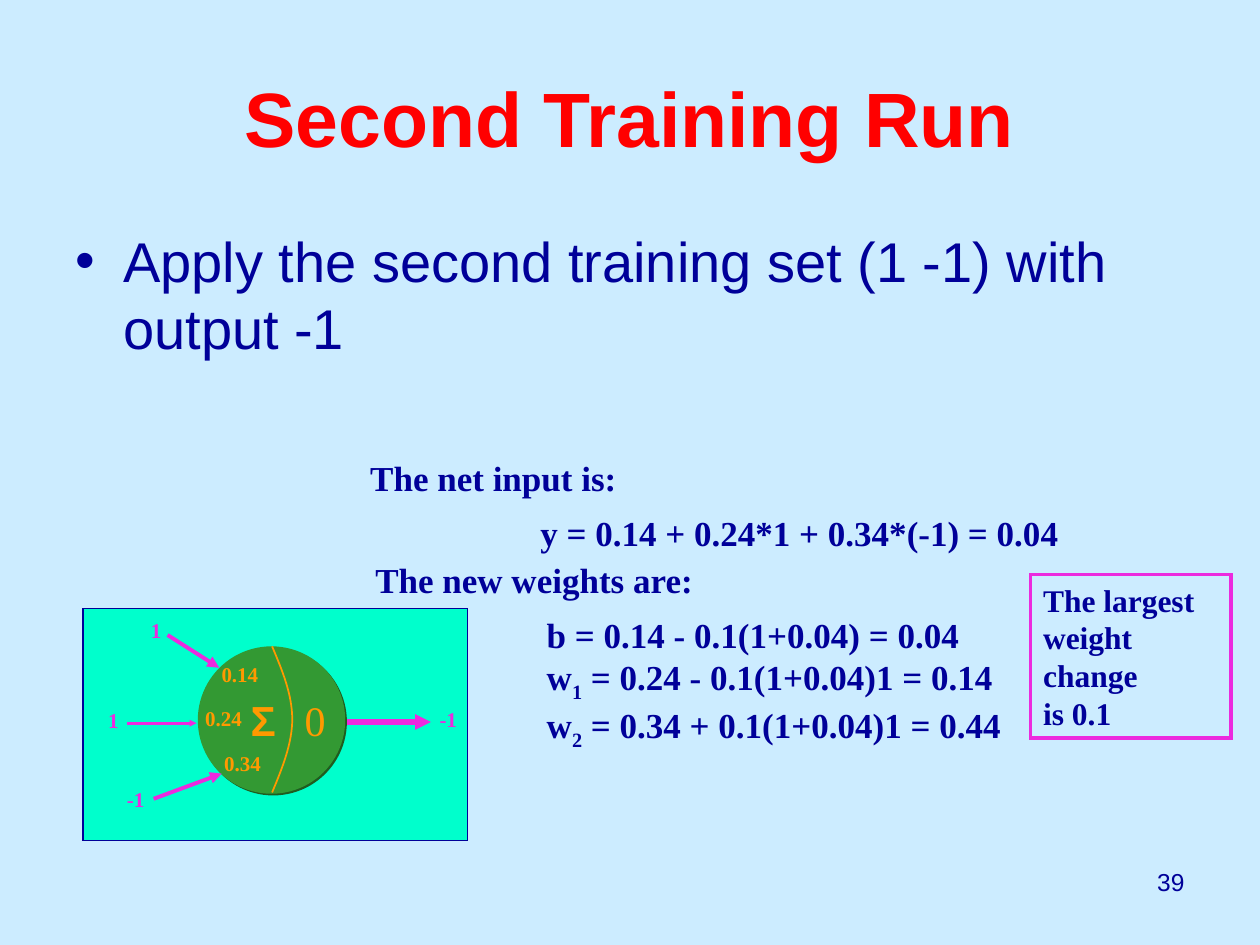
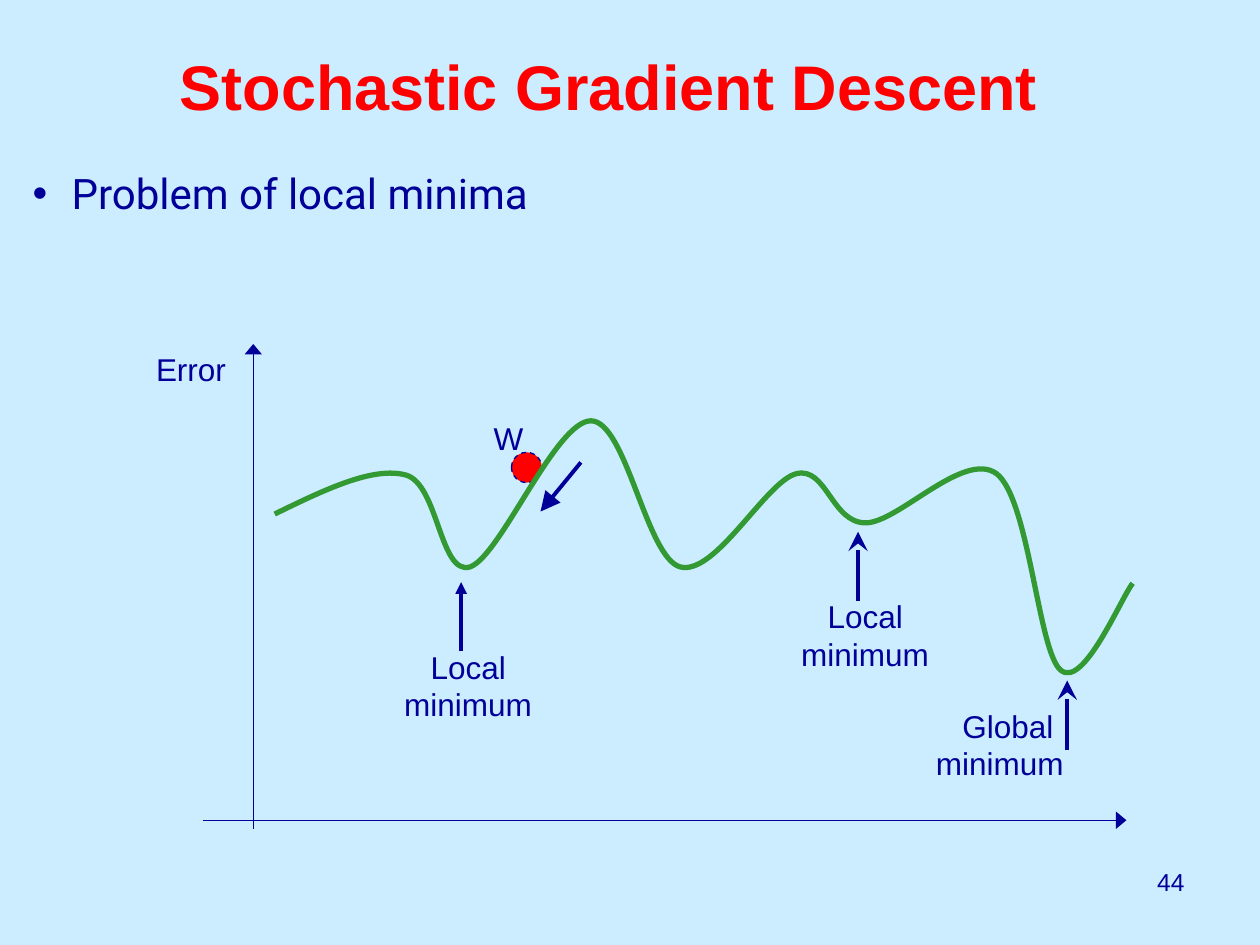
from lxml.etree import SubElement
from pptx import Presentation
from pptx.dml.color import RGBColor
from pptx.enum.dml import MSO_LINE
from pptx.enum.shapes import MSO_CONNECTOR, MSO_SHAPE
from pptx.enum.text import MSO_ANCHOR, MSO_AUTO_SIZE, PP_ALIGN
from pptx.oxml.ns import qn
from pptx.util import Inches, Pt

COLORS = {
    "background": "CCECFF", "ink": "000099", "title": "FF0000", "panel": "00FFCC",
    "green": "339933", "shade": "1F5C1F", "weight": "FF9900", "signal": "EC2ADE",
}
SANS, SERIF, ACCENT_FONT = "Arial", "Times New Roman", "Roboto"
LINE_SLACK = 0.02  # keeps a one-line label from breaking in a tight box


def rgb(name):
    return RGBColor.from_string(COLORS[name])


def box(left, top, width, height):
    return [Inches(value) for value in (left, top, width, height)]


def write(frame, text, size=18, font=SANS, color="ink", bold=False,
          align=PP_ALIGN.LEFT, anchor=MSO_ANCHOR.TOP, wrap=False,
          margin=0, indent=0, space_before=0, bullet=False):
    """Fill a frame; newlines split paragraphs, _x_ marks a subscript.

    The indent applies to the first paragraph only.
    """
    frame.word_wrap = wrap
    frame.auto_size = MSO_AUTO_SIZE.NONE if wrap else MSO_AUTO_SIZE.SHAPE_TO_FIT_TEXT
    frame.vertical_anchor = anchor
    for index, line in enumerate(text.split("\n")):
        paragraph = frame.add_paragraph() if index else frame.paragraphs[0]
        paragraph.alignment = align
        paragraph.space_before = Pt(space_before)
        properties = paragraph._p.get_or_add_pPr()
        properties.set("marL", str(Inches(margin)))
        properties.set("indent", str(0 if index else Inches(indent)))
        if bullet:
            SubElement(properties, qn("a:buFont")).set("typeface", SANS)
            SubElement(properties, qn("a:buChar")).set("char", "•")
        for part, words in enumerate(line.split("_")):
            run = paragraph.add_run()
            run.text = words
            run.font.size, run.font.name, run.font.bold = Pt(size), font, bold
            run.font.color.rgb = rgb(color)
            if part % 2:
                run._r.get_or_add_rPr().set("baseline", "-25000")


def add_text(shapes, place, text, **style):
    left, top, width, height = place
    if not style.get("wrap"):
        width += LINE_SLACK
    label = shapes.add_textbox(*box(left, top, width, height))
    write(label.text_frame, text, **style)


def add_figure(shapes, kind, place, fill, line=None, width=0.75):
    figure = shapes.add_shape(kind, *box(*place))
    figure.shadow.inherit = False
    figure.fill.solid()
    figure.fill.fore_color.rgb = rgb(fill)
    if line:
        figure.line.color.rgb = rgb(line)
        figure.line.width = Pt(width)
        SubElement(figure.line._get_or_add_ln(), qn("a:miter")).set("lim", "800000")
    else:
        figure.line.fill.background()
    return figure


def add_arrow(shapes, start, end, color="ink", width=2.25, head="triangle",
              head_width="med", head_length="med"):
    arrow = shapes.add_connector(
        MSO_CONNECTOR.STRAIGHT, *[Inches(value) for value in (*start, *end)])
    arrow.line.color.rgb = rgb(color)
    arrow.line.width = Pt(width)
    SubElement(arrow.line._get_or_add_ln(), qn("a:tailEnd"),
               type=head, w=head_width, len=head_length)
    SubElement(arrow._element.spPr, qn("a:effectLst"))


def add_curve(shapes, points, color, width):
    """Draw cubic Béziers: a start, then two controls and an end per piece."""
    start, *rest = [(round(x * 100), round(y * 100)) for x, y in points]
    builder = shapes.build_freeform(*start, scale=Inches(0.01))
    builder.add_line_segments(rest, close=False)
    curve = builder.convert_to_shape()
    curve.shadow.inherit = False
    curve.fill.background()
    curve.line.color.rgb = rgb(color)
    curve.line.width = Pt(width)
    outline = next(curve._element.iter(qn("a:path")))
    segments = outline.findall(qn("a:lnTo"))
    for first in range(0, len(segments), 3):
        piece = SubElement(outline, qn("a:cubicBezTo"))
        for segment in segments[first:first + 3]:
            piece.append(segment[0])
            outline.remove(segment)


def add_hard_shadow(figure, color):
    effects = figure._element.spPr.find(qn("a:effectLst"))
    shadow = SubElement(effects, qn("a:outerShdw"), blurRad="0", dist=str(Pt(1.4)),
                        dir="2700000", algn="ctr", rotWithShape="0")
    SubElement(shadow, qn("a:srgbClr")).set("val", COLORS[color])


def start_slide(deck, title, title_place, title_size, number):
    slide = deck.slides.add_slide(deck.slide_layouts[6])
    slide.background.fill.solid()
    slide.background.fill.fore_color.rgb = rgb("background")
    add_text(slide.shapes, title_place, title, size=title_size, color="title", bold=True,
             align=PP_ALIGN.CENTER, anchor=MSO_ANCHOR.MIDDLE, wrap=True)
    add_text(slide.shapes, (7.17, 6.83, 2.33, 0.52), str(number), size=14,
             align=PP_ALIGN.RIGHT, wrap=True)
    return slide.shapes


def draw_neuron(shapes):
    add_figure(shapes, MSO_SHAPE.RECTANGLE, (0.66, 4.83, 3.05, 1.84), "panel", "ink")
    cell = add_figure(shapes, MSO_SHAPE.OVAL, (1.57, 5.13, 1.17, 1.17), "green")
    add_hard_shadow(cell, "shade")
    add_curve(shapes, [(2.16, 5.13), (2.24, 5.32), (2.32, 5.51), (2.32, 5.71),
                       (2.32, 5.9), (2.24, 6.1), (2.16, 6.29)], "weight", 1)
    add_text(shapes, (2.32, 5.46, 0.36, 0.5), "0", size=24, font=SERIF, color="weight")
    add_text(shapes, (1.89, 5.46, 0.39, 0.5), "Σ", size=24, color="weight", bold=True)

    small = {"size": 12, "font": SERIF, "bold": True}
    for left, top, weight in ((1.66, 5.2, "0.14"), (1.53, 5.55, "0.24"), (1.68, 5.91, "0.34")):
        add_text(shapes, (left, top, 0.49, 0.3), weight, color="weight", **small)
    for left, top, width, signal in ((1.1, 4.85, 0.28, "1"), (0.76, 5.57, 0.28, "1"),
                                     (0.91, 6.19, 0.34, "-1"), (3.39, 5.56, 0.34, "-1")):
        add_text(shapes, (left, top, width, 0.3), signal, color="signal", **small)
    for start, end, width, head_size in (((1.33, 5.04), (1.74, 5.3), 2.25, "med"),
                                         ((1.01, 5.74), (1.56, 5.74), 1.5, "sm"),
                                         ((1.22, 6.34), (1.76, 6.14), 2.25, "med"),
                                         ((2.75, 5.73), (3.42, 5.73), 3, "med")):
        add_arrow(shapes, start, end, "signal", width,
                  head_width=head_size, head_length=head_size)


def build_training_run(deck):
    shapes = start_slide(deck, "Second Training Run", (0.5, 0.3, 9, 1.25), 44, 39)
    add_text(shapes, (0.5, 1.75, 9, 1.34),
             "Apply the second training set (1 -1) with output -1", size=32,
             wrap=True, margin=0.38, indent=-0.38, space_before=8, bullet=True)
    draw_neuron(shapes.add_group_shape().shapes)

    formula = {"size": 20, "font": SERIF, "bold": True}
    weights = ("b = 0.14 - 0.1(1+0.04) = 0.04\n"
               "w_1_ = 0.24 - 0.1(1+0.04)1 = 0.14\n"
               "w_2_ = 0.34 + 0.1(1+0.04)1 = 0.44")
    for place, words in (
            ((2.84, 3.57, 2.15, 0.44), "The net input is:"),
            ((4.19, 4.01, 4.31, 0.44), "y = 0.14 + 0.24*1 + 0.34*(-1) = 0.04"),
            ((2.88, 4.38, 2.79, 0.44), "The new weights are:"),
            ((4.24, 4.82, 3.8, 1.19), weights)):
        add_text(shapes, place, words, **formula)
    callout = add_figure(shapes, MSO_SHAPE.RECTANGLE, (8.18, 4.56, 1.59, 1.3),
                         "background", "signal", 2)
    write(callout.text_frame, "The largest weight change\nis 0.1",
          font=SERIF, bold=True, wrap=True)


def build_gradient_descent(deck):
    shapes = start_slide(deck, "Stochastic Gradient Descent", (0.58, 0.21, 8.5, 0.94), 36, 44)
    add_text(shapes, (0.16, 1.28, 4.23, 0.5), "Problem of local minima", size=24,
             font=ACCENT_FONT, margin=0.31, indent=-0.31, bullet=True)

    for start, end in (((2.01, 6.58), (2.01, 2.73)), ((1.61, 6.51), (8.94, 6.51))):
        add_arrow(shapes, start, end, width=0.75, head_width="lg")
    add_text(shapes, (1.14, 2.73, 0.75, 0.4), "Error")

    ball = add_figure(shapes, MSO_SHAPE.OVAL, (4.06, 3.59, 0.24, 0.24), "title", "ink")
    ball.line.dash_style = MSO_LINE.DASH
    add_text(shapes, (3.82, 3.28, 0.43, 0.4), "W")
    add_arrow(shapes, (4.61, 3.67), (4.29, 4.06), head_width="lg", head_length="lg")

    for arrow_x, tip_y, head, head_size, left, top, kind in (
            (3.66, 4.62, "triangle", "med", 3.11, 5.09, "Local"),
            (6.81, 4.22, "stealth", "lg", 6.26, 4.69, "Local"),
            (8.47, 5.4, "stealth", "lg", 7.33, 5.56, "Global")):
        add_arrow(shapes, (arrow_x, tip_y + 0.55), (arrow_x, tip_y), head=head,
                  head_width=head_size, head_length=head_size)
        add_text(shapes, (left, top, 1.21, 0.7), f"{kind}\nminimum", indent=0.21)

    error_curve = [
        (2.18, 4.08),
        (2.57, 3.89), (2.96, 3.7), (3.22, 3.77),
        (3.48, 3.84), (3.49, 4.57), (3.73, 4.5),
        (3.97, 4.42), (4.41, 3.34), (4.69, 3.34),
        (4.97, 3.34), (5.13, 4.43), (5.4, 4.5),
        (5.68, 4.57), (6.08, 3.82), (6.32, 3.76),
        (6.56, 3.7), (6.6, 4.15), (6.87, 4.15),
        (7.13, 4.15), (7.65, 3.57), (7.91, 3.76),
        (8.17, 3.96), (8.24, 5.18), (8.42, 5.32),
        (8.6, 5.47), (8.9, 4.74), (8.99, 4.63),
    ]
    add_curve(shapes, error_curve, "green", 3)


def main():
    deck = Presentation()
    deck.slide_width, deck.slide_height = Inches(10), Inches(7.5)
    build_training_run(deck)
    build_gradient_descent(deck)
    deck.save("out.pptx")


if __name__ == "__main__":
    main()
